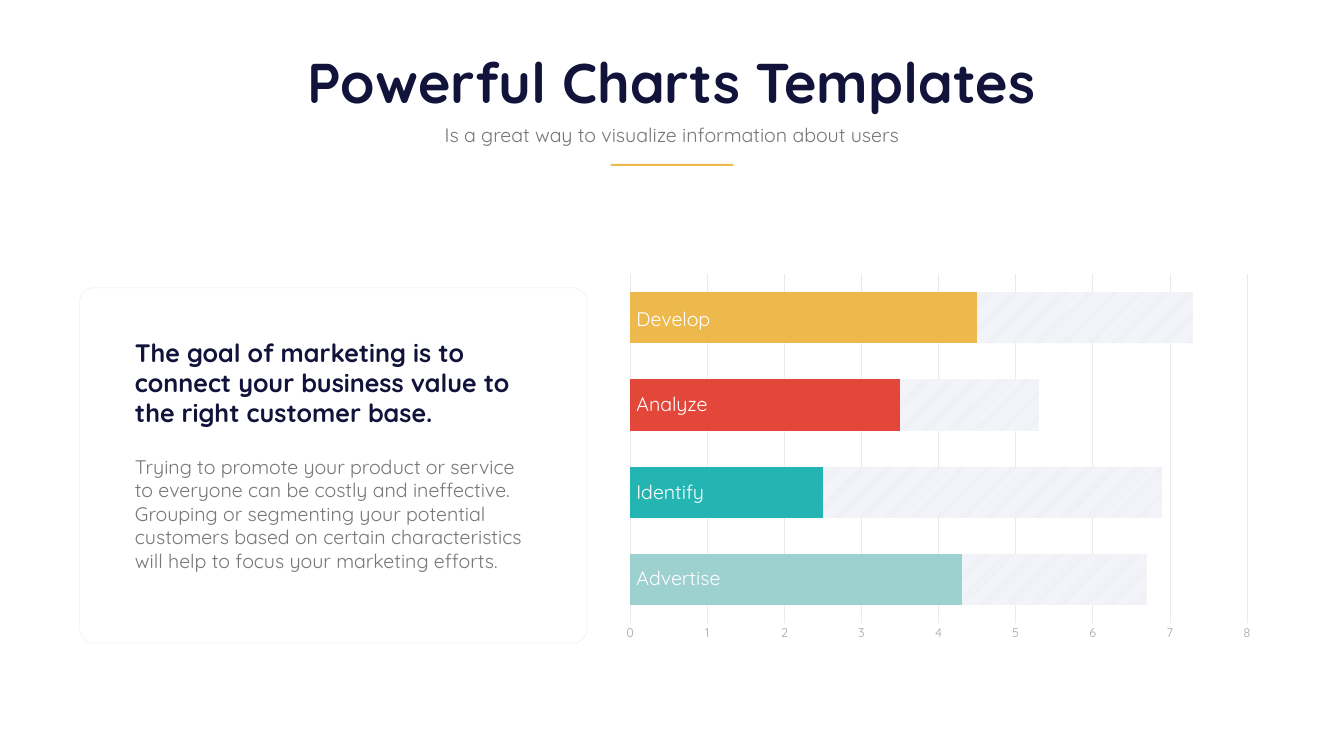
from lxml.etree import SubElement
from pptx import Presentation
from pptx.chart.data import CategoryChartData
from pptx.dml.color import RGBColor
from pptx.enum.chart import XL_CHART_TYPE, XL_TICK_MARK
from pptx.enum.dml import MSO_PATTERN
from pptx.enum.shapes import MSO_SHAPE
from pptx.enum.text import MSO_ANCHOR, MSO_AUTO_SIZE, PP_ALIGN
from pptx.oxml.ns import qn
from pptx.util import Inches, Pt

FONT = "Quicksand"
NAVY = RGBColor(0x11, 0x13, 0x3A)
GRAY = RGBColor(0x77, 0x76, 0x78)
AXIS_GRAY = RGBColor(0xA7, 0xA6, 0xA7)
GRID_GRAY = RGBColor(0xEB, 0xEA, 0xEB)
HATCH_GRAY = RGBColor(0xD9, 0xD9, 0xD9)
HATCH_BACK = RGBColor(0xF6, 0xF7, 0xFC)
CARD_LINE = RGBColor(0xF0, 0xF1, 0xFA)
WHITE = RGBColor(0xFF, 0xFF, 0xFF)
YELLOW = RGBColor(0xEE, 0xB9, 0x4C)
RED = RGBColor(0xE3, 0x47, 0x39)
TEAL = RGBColor(0x24, 0xB5, 0xB2)
PALE_TEAL = RGBColor(0x9C, 0xD1, 0xD0)


def write_text(shape, text, size, color, bold=False, align=PP_ALIGN.LEFT):
    frame = shape.text_frame
    frame.word_wrap = True
    frame.auto_size = MSO_AUTO_SIZE.NONE
    frame.vertical_anchor = MSO_ANCHOR.TOP
    paragraph = frame.paragraphs[0]
    paragraph.alignment = align
    run = paragraph.add_run()
    run.text = text
    run.font.name = FONT
    run.font.size = Pt(size)
    run.font.bold = bold
    run.font.color.rgb = color


def add_text(left, top, width, height, *text_format):
    box = slide.shapes.add_textbox(
        Inches(left), Inches(top), Inches(width), Inches(height))
    write_text(box, *text_format)


presentation = Presentation()
presentation.slide_width = Inches(26.67)
presentation.slide_height = Inches(15)
slide = presentation.slides.add_slide(presentation.slide_layouts[5])

# Stacked bar chart
chart_data = CategoryChartData()
chart_data.categories = ["1", "2", "3", "4"]
chart_data.add_series("Series 1", (4.3, 2.5, 3.5, 4.5))
chart_data.add_series("Series 2", (2.4, 4.4, 1.8, 2.8))
chart = slide.shapes.add_chart(
    XL_CHART_TYPE.BAR_STACKED, Inches(12.17), Inches(5.29),
    Inches(12.91), Inches(7.58), chart_data).chart
chart.has_legend = False
chart.has_title = False
chart.font.name = FONT
chart.font.size = Pt(18)
chart.font.color.rgb = GRAY

plot = chart.plots[0]
plot.gap_width = 70
plot.overlap = 100
plot.vary_by_categories = False
values, remainders = plot.series
for series, color in ((values, YELLOW), (remainders, RED)):
    series.format.fill.solid()
    series.format.fill.fore_color.rgb = color
for index, color in enumerate((PALE_TEAL, TEAL, RED, YELLOW)):
    fill = values.points[index].format.fill
    fill.solid()
    fill.fore_color.rgb = color
    hatch = remainders.points[index].format.fill
    hatch.patterned()
    hatch.pattern = MSO_PATTERN.WIDE_UPWARD_DIAGONAL
    hatch.fore_color.rgb = HATCH_GRAY
    hatch.back_color.rgb = HATCH_BACK

# Chart axes
chart.category_axis.visible = False
axis = chart.value_axis
axis.minimum_scale = 0
axis.maximum_scale = 8
axis.major_unit = 1
axis.major_tick_mark = XL_TICK_MARK.NONE
axis.minor_tick_mark = XL_TICK_MARK.NONE
axis.format.line.fill.background()
axis.tick_labels.font.name = FONT
axis.tick_labels.font.size = Pt(18)
axis.tick_labels.font.color.rgb = AXIS_GRAY
axis.has_major_gridlines = True
axis.major_gridlines.format.line.color.rgb = GRID_GRAY
axis.major_gridlines.format.line.width = Pt(0.75)

# Plot area inside the chart frame
plot_area = chart.element.find(".//" + qn("c:plotArea"))
for old_layout in plot_area.findall(qn("c:layout")):
    plot_area.remove(old_layout)
layout = SubElement(plot_area, qn("c:layout"))
plot_area.insert(0, layout)
manual = SubElement(layout, qn("c:manualLayout"))
for tag, value in (("layoutTarget", "inner"), ("xMode", "edge"), ("yMode", "edge"),
                   ("x", "0.026"), ("y", "0.02"), ("w", "0.948"), ("h", "0.913")):
    SubElement(manual, qn(f"c:{tag}")).set("val", value)

# Bar labels
for label, top in (("Develop", 6.04), ("Analyze", 7.73),
                   ("Identify", 9.47), ("Advertise", 11.17)):
    add_text(12.53, top, 2.54, 0.57, label, 28, WHITE)

# Text card
card = slide.shapes.add_shape(
    MSO_SHAPE.ROUNDED_RECTANGLE, Inches(1.58), Inches(5.71), Inches(10.07), Inches(7.05))
card.adjustments[0] = 0.04
card.shadow.inherit = False
card.fill.solid()
card.fill.fore_color.rgb = WHITE
card.line.color.rgb = CARD_LINE
card.line.width = Pt(1)
add_text(2.58, 8.97, 8.07, 2.93,
         "Trying to promote your product or service to everyone can be costly and "
         "ineffective. Grouping or segmenting your potential customers based on certain "
         "characteristics will help to focus your marketing efforts.", 28, GRAY)
add_text(2.58, 6.64, 8.07, 1.92,
         "The goal of marketing is to connect your business value to the right "
         "customer base.", 36, NAVY, True)

# Heading
title = slide.shapes.title
title.left, title.top = Inches(3.88), Inches(0.9)
title.width, title.height = Inches(18.9), Inches(1.45)
write_text(title, "Powerful Charts Templates", 80, NAVY, True, PP_ALIGN.CENTER)
add_text(8.55, 2.38, 9.56, 0.57, "Is a great way to visualize information about users",
         28, GRAY, False, PP_ALIGN.CENTER)
underline = slide.shapes.add_shape(
    MSO_SHAPE.RECTANGLE, Inches(12.12), Inches(3.25), Inches(2.43), Inches(0.04))
underline.shadow.inherit = False
underline.fill.solid()
underline.fill.fore_color.rgb = YELLOW
underline.line.fill.background()

presentation.save("out.pptx")
